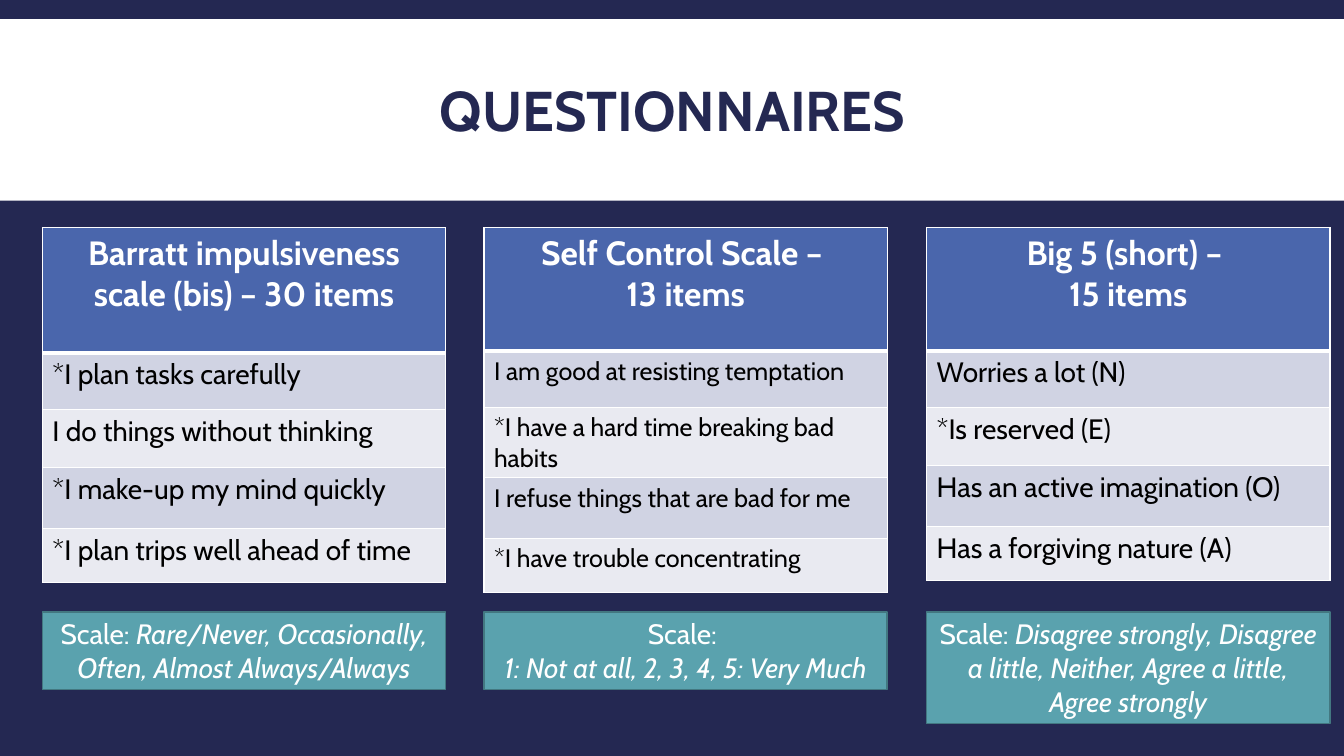
from dataclasses import dataclass

from lxml import etree
from pptx import Presentation
from pptx.dml.color import RGBColor
from pptx.enum import shapes, text
from pptx.oxml import ns
from pptx.util import Inches, Pt


@dataclass(frozen=True)
class Theme:
    font: str = "Cabin"
    navy: str = "242852"
    white: str = "FFFFFF"
    black: str = "000000"
    blue: str = "4A66AC"
    bands: tuple = ("D0D3E3", "E9EAF1")
    teal: str = "5AA2AE"
    teal_edge: str = "437881"
    title_size: int = 40
    header_size: int = 24
    scale_size: int = 20


THEME = Theme()
COLUMN_LEFTS = (0.42, 4.8, 9.19)
COLUMN_WIDTH = 4
TABLE_TOP = 2.26
SCALE_TOP = 6.07

# Headers and scales are lists of paragraphs; a paragraph is a list of (wording, italic) runs.
QUESTIONNAIRES = [
    dict(
        header=[[("Barratt impulsiveness scale (bis) – 30 items", False)]],
        items=["*I plan tasks carefully", "I do things without thinking",
               "*I make-up my mind quickly", "*I plan trips well ahead of time"],
        item_size=20,
        row_heights=(1.24, 0.56, 0.58, 0.6, 0.54),
        scale=[[("Scale: ", False),
                ("Rare/Never, Occasionally, Often, Almost Always/Always", True)]],
        scale_height=0.77,
    ),
    dict(
        header=[[("Self Control Scale – ", False)], [("13 items", False)]],
        items=["I am good at resisting temptation", "*I have a hard time breaking bad habits",
               "I refuse things that are bad for me", "*I have trouble concentrating"],
        item_size=18,
        row_heights=(1.22, 0.56, 0.7, 0.6, 0.54),
        scale=[[("Scale: ", False)], [("1: Not at all, 2, 3, 4, 5: Very Much", True)]],
        scale_height=0.77,
    ),
    dict(
        header=[[("Big 5 (short) – ", False)], [("15 items", False)]],
        items=["Worries a lot (N)", "*Is reserved (E)",
               "Has an active imagination (O)", "Has a forgiving nature (A)"],
        item_size=20,
        row_heights=(1.22, 0.56, 0.58, 0.6, 0.54),
        scale=[[("Scale: ", False),
                ("Disagree strongly, Disagree a little, Neither, Agree a little, Agree strongly",
                 True)]],
        scale_height=1.11,
    ),
]


def rgb(color):
    return RGBColor.from_string(color)


def write_text(frame, paragraphs, *, size, color, bold=False,
               align=text.PP_ALIGN.CENTER, line_spacing=None):
    frame.word_wrap = True
    for index, runs in enumerate(paragraphs):
        paragraph = frame.add_paragraph() if index else frame.paragraphs[0]
        paragraph.alignment = align
        if line_spacing:
            paragraph.line_spacing = line_spacing
        for wording, italic in runs:
            run = paragraph.add_run()
            run.text = wording
            run.font.name = THEME.font
            run.font.size = Pt(size)
            run.font.bold = bold
            run.font.italic = italic
            run.font.color.rgb = rgb(color)


def add_box(slide, left, top, width, height, fill, edge=None):
    box = slide.shapes.add_shape(shapes.MSO_SHAPE.RECTANGLE, Inches(left), Inches(top),
                                 Inches(width), Inches(height))
    box.shadow.inherit = False
    box.fill.solid()
    box.fill.fore_color.rgb = rgb(fill)
    if edge:
        box.line.color.rgb = rgb(edge)
        box.line.width = Pt(1)
    else:
        box.line.fill.background()
    return box


def add_title(slide, wording):
    add_box(slide, 0, 0.19, 13.33, 1.8, THEME.white)
    title = slide.shapes.add_textbox(Inches(1.32), Inches(0.31), Inches(10.7), Inches(1.65))
    title.text_frame.vertical_anchor = text.MSO_ANCHOR.MIDDLE
    write_text(title.text_frame, [[(wording, False)]], size=THEME.title_size,
               color=THEME.navy, bold=True, line_spacing=0.85)


def style_cell(cell, fill, top=1, bottom=1):
    """Draw white borders, then the fill, in the order the schema asks for."""
    properties = cell._tc.get_or_add_tcPr()
    for side, points in (("L", 1), ("R", 1), ("T", top), ("B", bottom)):
        border = etree.SubElement(properties, ns.qn(f"a:ln{side}"), w=str(Pt(points)))
        solid = etree.SubElement(border, ns.qn("a:solidFill"))
        etree.SubElement(solid, ns.qn("a:srgbClr"), val=THEME.white)
    cell.fill.solid()
    cell.fill.fore_color.rgb = rgb(fill)


def add_item_table(slide, left, header, items, item_size, row_heights):
    table = slide.shapes.add_table(
        len(row_heights), 1, Inches(left), Inches(TABLE_TOP),
        Inches(COLUMN_WIDTH), Inches(sum(row_heights))).table
    for row, height in zip(table.rows, row_heights):
        row.height = Inches(height)

    header_cell = table.cell(0, 0)
    style_cell(header_cell, THEME.blue, bottom=3)
    write_text(header_cell.text_frame, header, size=THEME.header_size,
               color=THEME.white, bold=True)

    for index, item in enumerate(items):
        cell = table.cell(index + 1, 0)
        style_cell(cell, THEME.bands[index % 2], top=1 if index else 3)
        write_text(cell.text_frame, [[(item, False)]], size=item_size,
                   color=THEME.black, align=text.PP_ALIGN.LEFT)


def add_scale(slide, left, scale, height):
    box = add_box(slide, left, SCALE_TOP, COLUMN_WIDTH, height, THEME.teal, THEME.teal_edge)
    box.text_frame.vertical_anchor = text.MSO_ANCHOR.TOP
    write_text(box.text_frame, scale, size=THEME.scale_size, color=THEME.white)


def main():
    deck = Presentation()
    deck.slide_width, deck.slide_height = Inches(13.33), Inches(7.5)
    slide = deck.slides.add_slide(deck.slide_layouts[6])
    slide.background.fill.solid()
    slide.background.fill.fore_color.rgb = rgb(THEME.navy)

    add_title(slide, "QUESTIONNAIRES")
    for left, survey in zip(COLUMN_LEFTS, QUESTIONNAIRES):
        add_item_table(slide, left, survey["header"], survey["items"],
                       survey["item_size"], survey["row_heights"])
        add_scale(slide, left, survey["scale"], survey["scale_height"])
    deck.save("out.pptx")


if __name__ == "__main__":
    main()
